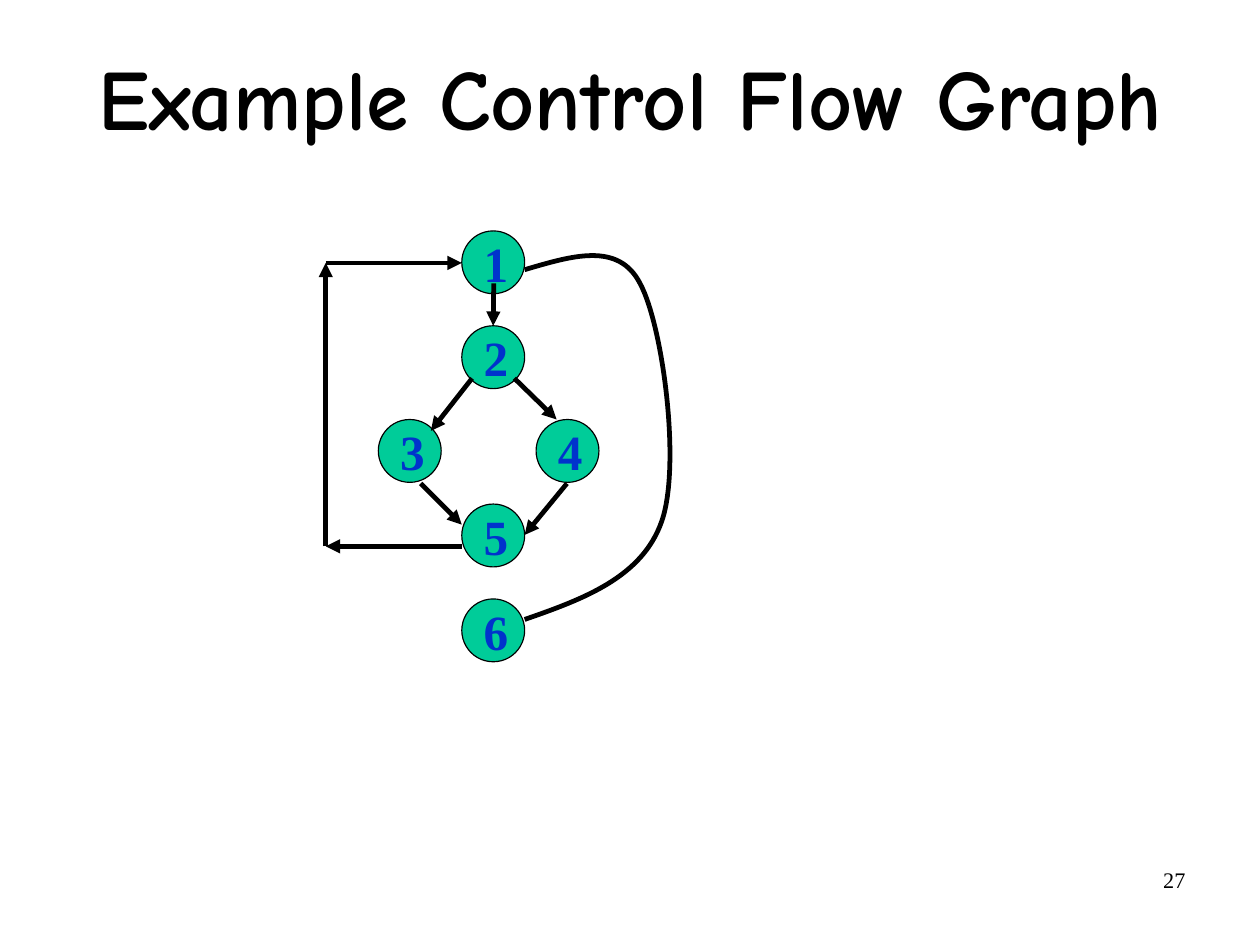
from dataclasses import dataclass

from lxml import etree
from pptx import Presentation
from pptx.dml.color import RGBColor
from pptx.enum.shapes import MSO_CONNECTOR, MSO_SHAPE
from pptx.enum.text import MSO_ANCHOR, MSO_AUTO_SIZE, PP_ALIGN
from pptx.oxml.ns import qn
from pptx.shapes.autoshape import Shape
from pptx.slide import Slide
from pptx.text.text import TextFrame
from pptx.util import Inches, Pt

STRAIGHT = MSO_CONNECTOR.STRAIGHT
OVAL = MSO_SHAPE.OVAL
MIDDLE = MSO_ANCHOR.MIDDLE
NO_AUTOFIT = MSO_AUTO_SIZE.NONE
CENTER, RIGHT = PP_ALIGN.CENTER, PP_ALIGN.RIGHT

COLORS = {"black": "000000", "node": "00CC99", "digit": "0033CC"}
TITLE_FONT = "Comic Neue"
BODY_FONT = "Times New Roman"
CM_PER_INCH = 2.54
SLIDE_WIDTH = Inches(28 / CM_PER_INCH)
SLIDE_HEIGHT = Inches(21 / CM_PER_INCH)
NODE_SIZE = 0.55
NODE_TOP_SITE = 0
SPINE_LEFT = 4.04
SPINE_RIGHT = 4.59
LOOP_LEFT, LOOP_TOP, LOOP_BOTTOM = 2.85, 2.3, 4.78
CURVE_UNITS_PER_INCH = 100

Point = tuple[float, float]


@dataclass(frozen=True)
class Node:
    label: str
    left: float
    top: float


@dataclass(frozen=True)
class Arrow:
    start: Point
    end: Point
    into_top_of: str = ""


NODES = [
    Node("1", SPINE_LEFT, 2.02),
    Node("2", SPINE_LEFT, 2.85),
    Node("3", 3.31, 3.67),
    Node("4", 4.69, 3.67),
    Node("5", SPINE_LEFT, 4.41),
    Node("6", SPINE_LEFT, 5.24),
]

ARROWS = [
    Arrow((4.32, 2.48), (4.32, 2.85), into_top_of="2"),
    Arrow((4.13, 3.31), (3.77, 3.77)),
    Arrow((4.5, 3.31), (4.87, 3.67)),
    Arrow((3.68, 4.23), (SPINE_LEFT, 4.59)),
    Arrow((4.96, 4.23), (SPINE_RIGHT, 4.68)),
    Arrow((SPINE_LEFT, LOOP_BOTTOM), (LOOP_LEFT, LOOP_BOTTOM)),
    Arrow((LOOP_LEFT, LOOP_BOTTOM), (LOOP_LEFT, LOOP_TOP)),
    Arrow((LOOP_LEFT, LOOP_TOP), (SPINE_LEFT, LOOP_TOP)),
]

EXIT_CURVE: list[Point] = [
    (SPINE_RIGHT, 2.36),
    (5, 2.24), (5.41, 2.11), (5.6, 2.48),
    (5.8, 2.85), (5.96, 4.07), (5.79, 4.56),
    (5.62, 5.05), (5.11, 5.24), (SPINE_RIGHT, 5.42),
]


def color(name: str) -> RGBColor:
    return RGBColor.from_string(COLORS[name])


def write_text(frame: TextFrame, text: str, font_name: str, size: float,
               color_name: str, alignment: PP_ALIGN, bold: bool,
               margins: Point) -> None:
    frame.word_wrap = True
    frame.auto_size = NO_AUTOFIT
    frame.margin_left = frame.margin_right = Inches(margins[0])
    frame.margin_top = frame.margin_bottom = Inches(margins[1])
    paragraph = frame.paragraphs[0]
    paragraph.alignment = alignment
    run = paragraph.add_run()
    run.text = text
    run.font.name = font_name
    run.font.size = Pt(size)
    run.font.bold = bold
    run.font.color.rgb = color(color_name)


def add_title(slide: Slide) -> None:
    title = slide.shapes.title
    title.left, title.top = Inches(0.81), Inches(0.2)
    title.width, title.height = Inches(9.41), Inches(1.37)
    frame = title.text_frame
    frame.vertical_anchor = MIDDLE
    write_text(frame, "Example Control Flow Graph", TITLE_FONT, 54,
               "black", CENTER, True, (0, 0))
    frame.paragraphs[0].line_spacing = 0.94


def add_page_number(slide: Slide) -> None:
    box = slide.shapes.add_textbox(Inches(7.9), Inches(7.53),
                                   Inches(2.57), Inches(0.57))
    write_text(box.text_frame, "27", BODY_FONT, 14, "black", RIGHT,
               False, (0.1, 0.05))


def add_node(slide: Slide, node: Node) -> Shape:
    shape = slide.shapes.add_shape(OVAL, Inches(node.left), Inches(node.top),
                                   Inches(NODE_SIZE), Inches(NODE_SIZE))
    shape.shadow.inherit = False
    shape.fill.solid()
    shape.fill.fore_color.rgb = color("node")
    shape.line.color.rgb = color("black")
    shape.line.width = Pt(0.75)
    shape.text_frame.vertical_anchor = MIDDLE
    write_text(shape.text_frame, node.label, BODY_FONT, 31, "digit",
               CENTER, True, (0.11, 0.06))
    return shape


def add_arrow(slide: Slide, arrow: Arrow, shapes: dict[str, Shape]) -> None:
    connector = slide.shapes.add_connector(
        STRAIGHT, *(Inches(value) for value in arrow.start + arrow.end))
    if arrow.into_top_of:
        connector.end_connect(shapes[arrow.into_top_of], NODE_TOP_SITE)
    connector.line.color.rgb = color("black")
    connector.line.width = Pt(3)
    properties = connector._element.spPr
    etree.SubElement(properties.find(qn("a:ln")), qn("a:tailEnd"), type="triangle")
    etree.SubElement(properties, qn("a:effectLst"))


def add_exit_curve(slide: Slide) -> None:
    start, *controls = [(round(x * CURVE_UNITS_PER_INCH), round(y * CURVE_UNITS_PER_INCH))
                        for x, y in EXIT_CURVE]
    builder = slide.shapes.build_freeform(
        *start, scale=Inches(1) / CURVE_UNITS_PER_INCH)
    builder.add_line_segments(controls, close=False)
    shape = builder.convert_to_shape()
    shape.shadow.inherit = False
    shape.fill.background()
    shape.line.color.rgb = color("black")
    shape.line.width = Pt(3)
    outline = next(shape._element.iter(qn("a:path")))
    segments = outline.findall(qn("a:lnTo"))
    for first in range(0, len(segments), 3):
        curve = etree.SubElement(outline, qn("a:cubicBezTo"))
        for segment in segments[first:first + 3]:
            curve.append(segment[0])
            outline.remove(segment)


def main() -> None:
    presentation = Presentation()
    presentation.slide_width = SLIDE_WIDTH
    presentation.slide_height = SLIDE_HEIGHT
    slide = presentation.slides.add_slide(presentation.slide_layouts[5])
    add_page_number(slide)
    add_title(slide)
    shapes = {node.label: add_node(slide, node) for node in NODES}
    for arrow in ARROWS:
        add_arrow(slide, arrow, shapes)
    add_exit_curve(slide)
    presentation.save("out.pptx")


if __name__ == "__main__":
    main()
